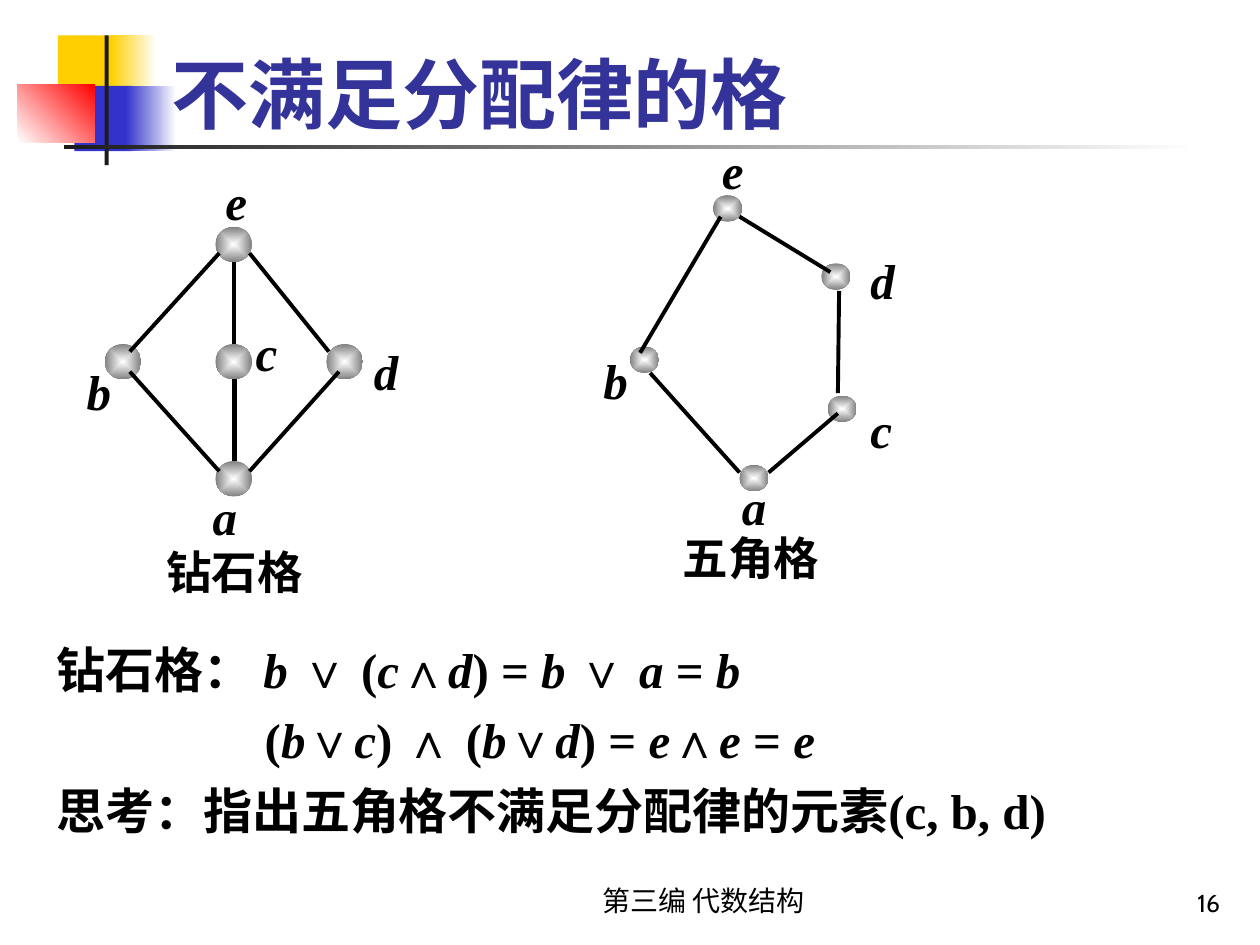
import pptx
import pptx.util
import pptx.dml.color
import pptx.enum.shapes
import pptx.enum.text
import lxml.etree

Pt = pptx.util.Pt
SHAPE = pptx.enum.shapes.MSO_SHAPE
ALIGN = pptx.enum.text.PP_ALIGN
ANCHOR = pptx.enum.text.MSO_ANCHOR
AUTO = pptx.enum.text.MSO_AUTO_SIZE
A = "{http://schemas.openxmlformats.org/drawingml/2006/main}"
SERIF, SANS = "Times New Roman", "Cabin"


def colour(value):
    return pptx.dml.color.RGBColor.from_string(value)


def write(paragraph, text, size=28, font=SERIF, ink="000000", bold=True, italic=False):
    run = paragraph.add_run()
    run.text = text
    run.font.size = Pt(size)
    run.font.name = font
    run.font.bold = bold
    run.font.italic = italic
    run.font.color.rgb = colour(ink)


deck = pptx.Presentation()
deck.slide_width, deck.slide_height = Pt(720), Pt(540)
slide = deck.slides.add_slide(deck.slide_layouts[5])
shapes = slide.shapes

title = shapes.title
title.left, title.top, title.width, title.height = Pt(90.7), Pt(5.8), Pt(613.4), Pt(77)
title.text_frame.vertical_anchor = ANCHOR.BOTTOM
title.text_frame.paragraphs[0].alignment = ALIGN.LEFT
write(title.text_frame.paragraphs[0], "不满足分配律的格", size=44, font=SANS, ink="333399")

ornaments = [
    (33.1, 20.2, 34.6, 37.4, ["FFCF01"], 0),
    (63.4, 20.2, 25.9, 37.4, ["FFCF01", "FFFFFF"], 0),
    (42.5, 49, 33.1, 37.4, ["3333CC"], 0),
    (72, 49, 28.8, 37.4, ["3333CC", "FFFFFF"], 0),
    (10.1, 48.2, 43.9, 33.1, ["FFFFFF", "FF0000"], 45),
    (59.8, 20.2, 2.3, 74.2, ["1C1C1C"], 0),
    (36.7, 82.8, 648, 2.2, ["1C1C1C", "FFFFFF"], 0),
]
for left, top, width, height, tints, angle in ornaments:
    ornament = shapes.add_shape(SHAPE.RECTANGLE, Pt(left), Pt(top), Pt(width), Pt(height))
    ornament.shadow.inherit = False
    ornament.line.fill.background()
    if len(tints) == 1:
        ornament.fill.solid()
        ornament.fill.fore_color.rgb = colour(tints[0])
    else:
        ornament.fill.gradient()
        ornament.fill.gradient_angle = angle
        for stop, tint in zip(ornament.fill.gradient_stops, tints):
            stop.color.rgb = colour(tint)
    title.element.addprevious(ornament.element)

footers = [
    (288, 228.2, "第三编 代数结构", 16, ALIGN.CENTER),
    (554.4, 149.8, "16", 14, ALIGN.RIGHT),
]
for left, width, text, size, alignment in footers:
    footer = shapes.add_textbox(Pt(left), Pt(491.8), Pt(width), Pt(36)).text_frame
    footer.word_wrap = True
    footer.vertical_anchor = ANCHOR.BOTTOM
    footer.paragraphs[0].alignment = alignment
    write(footer.paragraphs[0], text, size=size, font=SANS, bold=False)

argument = shapes.add_textbox(Pt(25.2), Pt(355), Pt(669), Pt(170)).text_frame
argument.word_wrap = True
statements = [
    (0, ["钻石格： ", "b ", "∨ (", "c", "∧", "d", ") = ", "b ", "∨ ", "a ", "= ", "b"]),
    (119, ["(", "b", "∨", "c", ") ∧ (", "b", "∨", "d", ") = ", "e", "∧", "e ", "= ", "e"]),
    (0, ["思考：指出五角格不满足分配律的元素(c, b, d)"]),
]
for number, (indent, pieces) in enumerate(statements):
    statement = argument.add_paragraph() if number else argument.paragraphs[0]
    statement.line_spacing = 1.2
    statement._p.get_or_add_pPr().set("marL", str(Pt(indent)))
    for position, piece in enumerate(pieces):
        write(statement, piece, italic=position % 2 == 1)

lattices = [
    {
        "node_size": (20.9, 20.2),
        "nodes": [(123.1, 129.6), (59.8, 196.6), (123.1, 196.6), (186.5, 196.6), (123.1, 263.5)],
        "edges": [
            (133.9, 149.8, 133.9, 196.6, 2.25), (133.9, 216.7, 133.9, 263.5, 3),
            (125.3, 144.7, 74.2, 200.9, 2.25), (193.7, 212.4, 142.6, 269.3, 2.25),
            (125.3, 269.3, 74.2, 212.4, 2.25), (187.9, 200.9, 142.6, 144.7, 2.25),
        ],
        "labels": {"a": (114.5, 274.3), "b": (42.5, 203), "c": (139, 180.7),
                   "d": (206.6, 191.5), "e": (121.7, 94.3)},
        "caption": ("钻石格", 87.8, 307.4, 1),
    },
    {
        "node_size": (16.6, 15.1),
        "nodes": [(407.5, 111.6), (469.4, 150.5), (360, 198), (473, 226.1), (422.6, 265.7)],
        "edges": [
            (422.6, 123.8, 474.5, 155.5, 2.25), (371.5, 213.1, 422.6, 270, 2.25),
            (439.2, 270, 478.8, 236.2, 2.25), (479.5, 166.3, 478.8, 224.6, 2.25),
            (411.8, 123.8, 365.8, 201.6, 2.25),
        ],
        "labels": {"a": (416.9, 268.6), "b": (337.7, 196.6), "c": (490.3, 224.6),
                   "d": (490.3, 139.7), "e": (405.4, 77)},
        "caption": ("五角格", 383, 293, 1.2),
    },
]
for lattice in lattices:
    width, height = lattice["node_size"]
    for left, top in lattice["nodes"]:
        node = shapes.add_shape(SHAPE.OVAL, Pt(left), Pt(top), Pt(width), Pt(height))
        node.shadow.inherit = False
        node.line.fill.background()
        node.fill.gradient()
        for stop, tint in zip(node.fill.gradient_stops, ["FFFFFF", "808080"]):
            stop.color.rgb = colour(tint)
        direction = node.element.spPr.find(f"{A}gradFill/{A}lin")
        glow = lxml.etree.Element(f"{A}path", {"path": "rect"})
        lxml.etree.SubElement(glow, f"{A}fillToRect", dict.fromkeys("ltrb", "50000"))
        direction.getparent().replace(direction, glow)

    for x1, y1, x2, y2, weight in lattice["edges"]:
        edge = shapes.add_connector(pptx.enum.shapes.MSO_CONNECTOR.STRAIGHT,
                                    Pt(x1), Pt(y1), Pt(x2), Pt(y2))
        edge.line.color.rgb = colour("000000")
        edge.line.width = Pt(weight)
        lxml.etree.SubElement(edge.element.spPr, f"{A}effectLst")

    name, left, top, spacing = lattice["caption"]
    tags = [(letter, x, y, 28, 41, 1, {"italic": True})
            for letter, (x, y) in lattice["labels"].items()]
    tags.append((name, left, top, 95, 39, spacing, {"size": 26, "font": SANS}))
    for text, x, y, width, height, spacing, style in tags:
        tag = shapes.add_textbox(Pt(x), Pt(y), Pt(width), Pt(height)).text_frame
        tag.word_wrap = False
        tag.auto_size = AUTO.SHAPE_TO_FIT_TEXT
        tag.paragraphs[0].line_spacing = spacing
        write(tag.paragraphs[0], text, **style)

deck.save("out.pptx")
